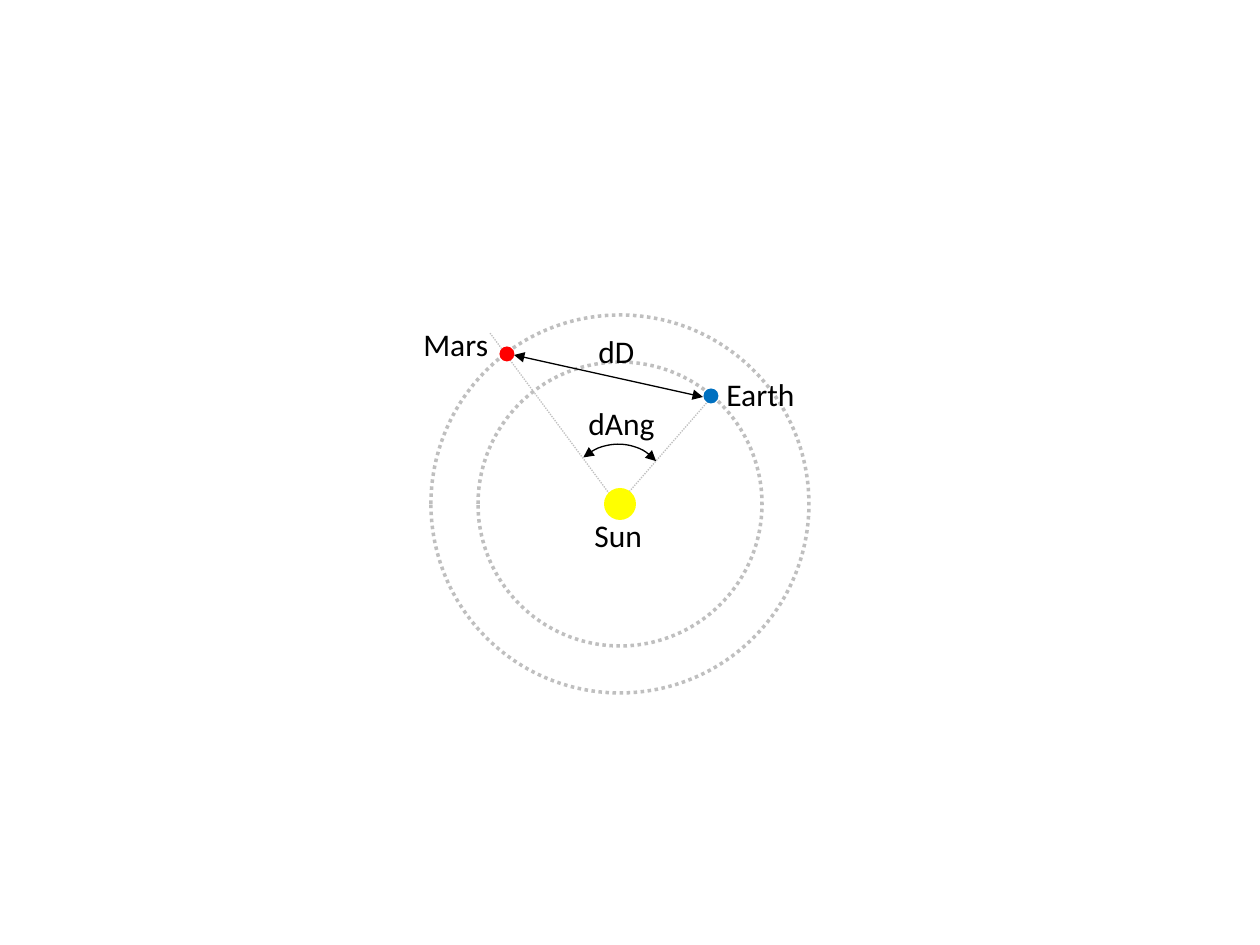
from dataclasses import dataclass
from typing import NamedTuple, Optional

from lxml.etree import SubElement
from pptx import Presentation
from pptx.dml.color import RGBColor
from pptx.enum.dml import MSO_LINE_DASH_STYLE as Dash
from pptx.enum.shapes import MSO_CONNECTOR as Connector, MSO_SHAPE as Shape
from pptx.enum.text import MSO_AUTO_SIZE as AutoSize
from pptx.oxml.ns import qn
from pptx.util import Emu, Pt

SCALE = 914400 / 126


@dataclass(frozen=True)
class Theme:
    """Colours, type and line weights of the diagram."""
    ink: str = "000000"
    guide: str = "BFBFBF"
    sun: str = "FFFF00"
    mars: str = "FF0000"
    earth: str = "0070C0"
    font: str = "Calibri"
    size: float = 18
    thin: float = 0.75
    orbit: float = 2


class Stroke(NamedTuple):
    """Format of a line."""
    color: str
    width: float
    dotted: bool = False
    arrows: bool = False


class Disc(NamedTuple):
    """Circle given by its centre and diameter."""
    x: int
    y: int
    diameter: int
    fill: Optional[str] = None
    stroke: Optional[Stroke] = None


class Line(NamedTuple):
    """Straight line between two points."""
    x1: int
    y1: int
    x2: int
    y2: int
    stroke: Stroke


class Label(NamedTuple):
    """Text with the left, top and width of its box."""
    text: str
    x: int
    y: int
    width: int


THEME = Theme()
GUIDE = Stroke(THEME.guide, THEME.thin, dotted=True)
ORBIT = Stroke(THEME.guide, THEME.orbit, dotted=True)
ARROW = Stroke(THEME.ink, THEME.thin, arrows=True)
CENTRE = (620, 504)
PLANET = 15
LABEL_HEIGHT = 50

SIGHT_LINES = [Line(617, 504, 490, 333, GUIDE), Line(609, 515, 717, 391, GUIDE)]
ORBITS_AND_SUN = [
    Disc(*CENTRE, 378, stroke=ORBIT),
    Disc(*CENTRE, 284, stroke=ORBIT),
    Disc(*CENTRE, 32, fill=THEME.sun),
]
DISTANCE = Line(514, 355, 703, 397, ARROW)
PLANETS = [
    Disc(507, 354, PLANET, fill=THEME.mars),
    Disc(711, 396, PLANET, fill=THEME.earth),
]
LABELS = [
    Label("dD", 586, 326, 62),
    Label("dAng", 576, 398, 92),
    Label("Sun", 582, 510, 73),
    Label("Earth", 714, 369, 95),
    Label("Mars", 411, 319, 91),
]


def px(*lengths: float) -> list[Emu]:
    """Turn pixels into EMU."""
    return [Emu(round(n * SCALE)) for n in lengths]


def set_stroke(s, stroke: Stroke) -> None:
    """Apply a line format to a shape or connector."""
    s.line.color.rgb = RGBColor.from_string(stroke.color)
    s.line.width = Pt(stroke.width)
    if stroke.dotted:
        # python-pptx names the sysDot preset ROUND_DOT
        s.line.dash_style = Dash.ROUND_DOT
    if stroke.arrows:
        for end in ("a:headEnd", "a:tailEnd"):
            SubElement(s.line._get_or_add_ln(), qn(end), type="triangle")


def add_line(shapes, line: Line) -> None:
    """Draw a straight connector."""
    s = shapes.add_connector(Connector.STRAIGHT, *px(*line[:4]))
    set_stroke(s, line.stroke)
    SubElement(s._element.spPr, qn("a:effectLst"))


def add_disc(shapes, disc: Disc) -> None:
    """Draw an orbit or a celestial body."""
    d = disc.diameter
    s = shapes.add_shape(Shape.OVAL, *px(disc.x - d / 2, disc.y - d / 2, d, d))
    s.shadow.inherit = False
    if disc.fill:
        s.fill.solid()
        s.fill.fore_color.rgb = RGBColor.from_string(disc.fill)
    else:
        s.fill.background()
    if disc.stroke:
        set_stroke(s, disc.stroke)
    else:
        s.line.fill.background()


def add_angle(shapes) -> None:
    """Draw the arc between the two sight lines."""
    s = shapes.add_shape(Shape.ARC, *px(564, 445, 105, 101))
    s.rotation = 319
    s.shadow.inherit = False
    s.fill.background()
    set_stroke(s, ARROW)


def add_label(shapes, label: Label) -> None:
    """Write a label in a box that fits its text."""
    s = shapes.add_textbox(*px(label.x, label.y, label.width, LABEL_HEIGHT))
    tf = s.text_frame
    for name, value in {"word_wrap": False, "auto_size": AutoSize.SHAPE_TO_FIT_TEXT}.items():
        setattr(tf, name, value)
    r = tf.paragraphs[0].add_run()
    r.text = label.text
    for name, value in {"name": THEME.font, "size": Pt(THEME.size)}.items():
        setattr(r.font, name, value)
    r.font.color.rgb = RGBColor.from_string(THEME.ink)


def main() -> None:
    """Build the slide from back to front."""
    prs = Presentation()
    prs.slide_width, prs.slide_height = px(1260, 945)
    shapes = prs.slides.add_slide(prs.slide_layouts[6]).shapes
    for line in SIGHT_LINES:
        add_line(shapes, line)
    for disc in ORBITS_AND_SUN:
        add_disc(shapes, disc)
    add_line(shapes, DISTANCE)
    for disc in PLANETS:
        add_disc(shapes, disc)
    add_angle(shapes)
    for label in LABELS:
        add_label(shapes, label)
    prs.save("out.pptx")


main()
